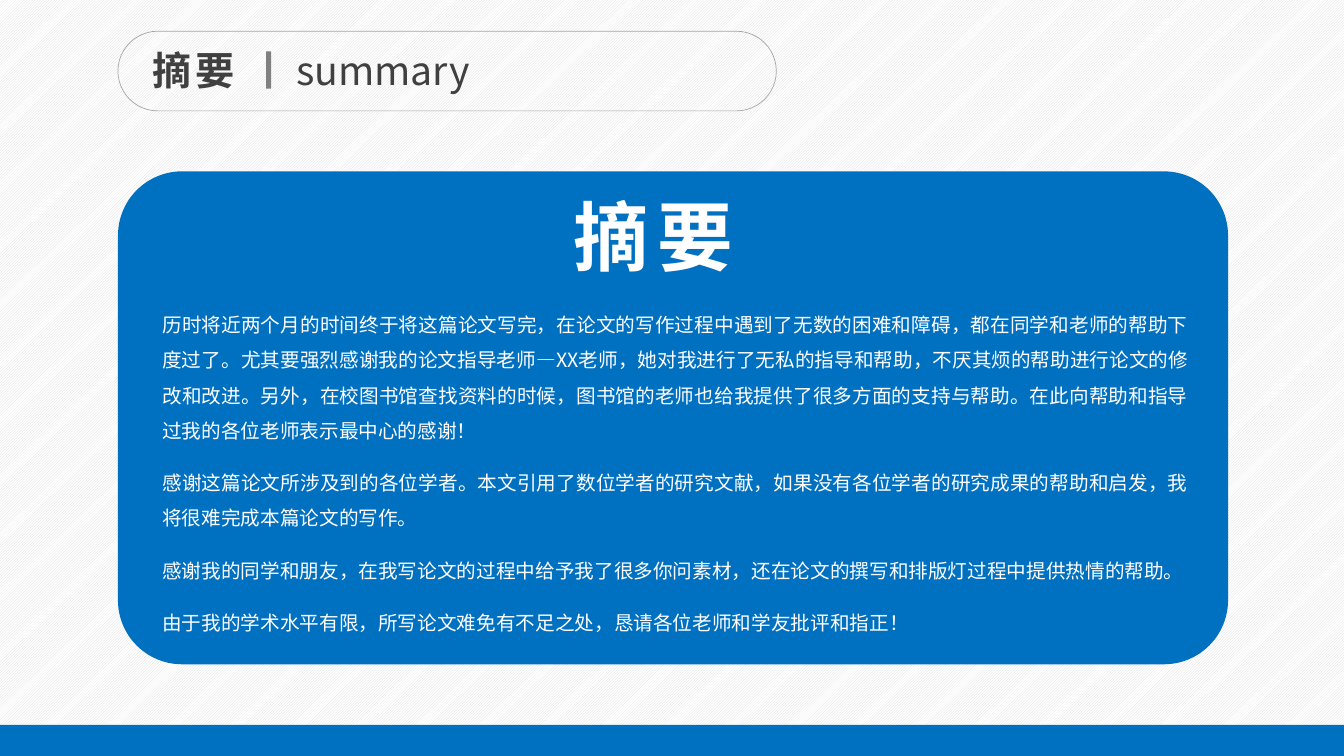
"""Build the thesis summary slide with its header pill and acknowledgement card."""
from lxml import etree
from pptx import Presentation
from pptx.dml.color import RGBColor
from pptx.enum.dml import MSO_PATTERN
from pptx.enum.shapes import MSO_SHAPE
from pptx.enum.text import MSO_ANCHOR, MSO_AUTO_SIZE, PP_ALIGN
from pptx.oxml.ns import qn
from pptx.util import Pt

PX = 9144
FONT = "Noto Sans CJK SC"
BLUE, WHITE, DARK, GRAY = "0070C0", "FFFFFF", "404040", "808080"
RECTANGLE, ROUNDED = MSO_SHAPE.RECTANGLE, MSO_SHAPE.ROUNDED_RECTANGLE
LEFT, JUSTIFY = PP_ALIGN.LEFT, PP_ALIGN.JUSTIFY
TOP, MIDDLE = MSO_ANCHOR.TOP, MSO_ANCHOR.MIDDLE

ACKNOWLEDGEMENTS = [
    "历时将近两个月的时间终于将这篇论文写完，在论文的写作过程中遇到了无数的困难和障碍，"
    "都在同学和老师的帮助下度过了。尤其要强烈感谢我的论文指导老师—XX老师，"
    "她对我进行了无私的指导和帮助，不厌其烦的帮助进行论文的修改和改进。"
    "另外，在校图书馆查找资料的时候，图书馆的老师也给我提供了很多方面的支持与帮助。"
    "在此向帮助和指导过我的各位老师表示最中心的感谢！",
    "感谢这篇论文所涉及到的各位学者。本文引用了数位学者的研究文献，"
    "如果没有各位学者的研究成果的帮助和启发，我将很难完成本篇论文的写作。",
    "感谢我的同学和朋友，在我写论文的过程中给予我了很多你问素材，"
    "还在论文的撰写和排版灯过程中提供热情的帮助。",
    "由于我的学术水平有限，所写论文难免有不足之处，恳请各位老师和学友批评和指正！",
]


def color(hex_string):
    """Turn a hex string into a colour."""
    return RGBColor.from_string(hex_string)


def write(shape, box, *texts, size, ink, bold=False, tracking=0, wrap=True,
          align=LEFT, anchor=TOP, line_spacing=1.0, gap=0):
    """Place a text shape and fill it with formatted paragraphs."""
    shape.left, shape.top, shape.width, shape.height = (value * PX for value in box)
    frame = shape.text_frame
    frame.auto_size = MSO_AUTO_SIZE.NONE
    frame.word_wrap = wrap
    frame.vertical_anchor = anchor
    for index, text in enumerate(texts):
        paragraph = frame.add_paragraph() if index else frame.paragraphs[0]
        properties = paragraph._p.get_or_add_pPr()
        properties.set("marL", "0")
        properties.set("indent", "0")
        etree.SubElement(properties, qn("a:buNone"))
        paragraph.alignment = align
        paragraph.line_spacing = line_spacing
        paragraph.space_before = Pt(gap if index else 0)
        paragraph.space_after = Pt(gap)
        run = paragraph.add_run()
        run.text = text
        run.font.size = Pt(size)
        run.font.bold = bold
        run.font.name = FONT
        run.font.color.rgb = color(ink)
        run_properties = run._r.get_or_add_rPr()
        run_properties.set("spc", str(tracking * 100))
        etree.SubElement(run_properties, qn("a:ea"), typeface=FONT)


presentation = Presentation()
presentation.slide_width, presentation.slide_height = 1333 * PX, 750 * PX
slide = presentation.slides.add_slide(presentation.slide_layouts[1])
shapes = slide.shapes
title, body = slide.placeholders

background = slide.background.fill
background.patterned()
background.pattern = MSO_PATTERN.LIGHT_UPWARD_DIAGONAL
background.fore_color.rgb = color("D9D9D9")
background.back_color.rgb = color(WHITE)

for kind, box, radius, fill, line in [
    (ROUNDED, (117, 31, 653, 79), 0.5, None, "A6A6A6"),
    (RECTANGLE, (264, 51, 5, 37), None, GRAY, None),
    (RECTANGLE, (0, 719, 1333, 31), None, BLUE, None),
    (ROUNDED, (117, 170, 1101, 489), 0.13, BLUE, None),
]:
    panel = shapes.add_shape(kind, *(value * PX for value in box))
    panel.shadow.inherit = False
    if radius:
        panel.adjustments[0] = radius
    if fill:
        panel.fill.solid()
        panel.fill.fore_color.rgb = color(fill)
    else:
        panel.fill.background()
    if line:
        panel.line.color.rgb = color(line)
        panel.line.width = Pt(0.5)
    else:
        panel.line.fill.background()

for placeholder in (title, body):
    shapes._spTree.append(placeholder._element)

write(title, (141, 41, 196, 57), "摘要", size=28, ink=DARK, bold=True, tracking=3)
write(shapes.add_textbox(0, 0, 0, 0), (284, 41, 196, 57), "summary",
      size=28, ink=DARK, wrap=False)
write(body, (151, 279, 1038, 370), *ACKNOWLEDGEMENTS, size=14, ink=WHITE,
      align=JUSTIFY, anchor=MIDDLE, line_spacing=1.5, gap=6)
write(shapes.add_textbox(0, 0, 0, 0), (559, 183, 216, 101), "摘要",
      size=54, ink=WHITE, bold=True, tracking=6)

presentation.save("out.pptx")
